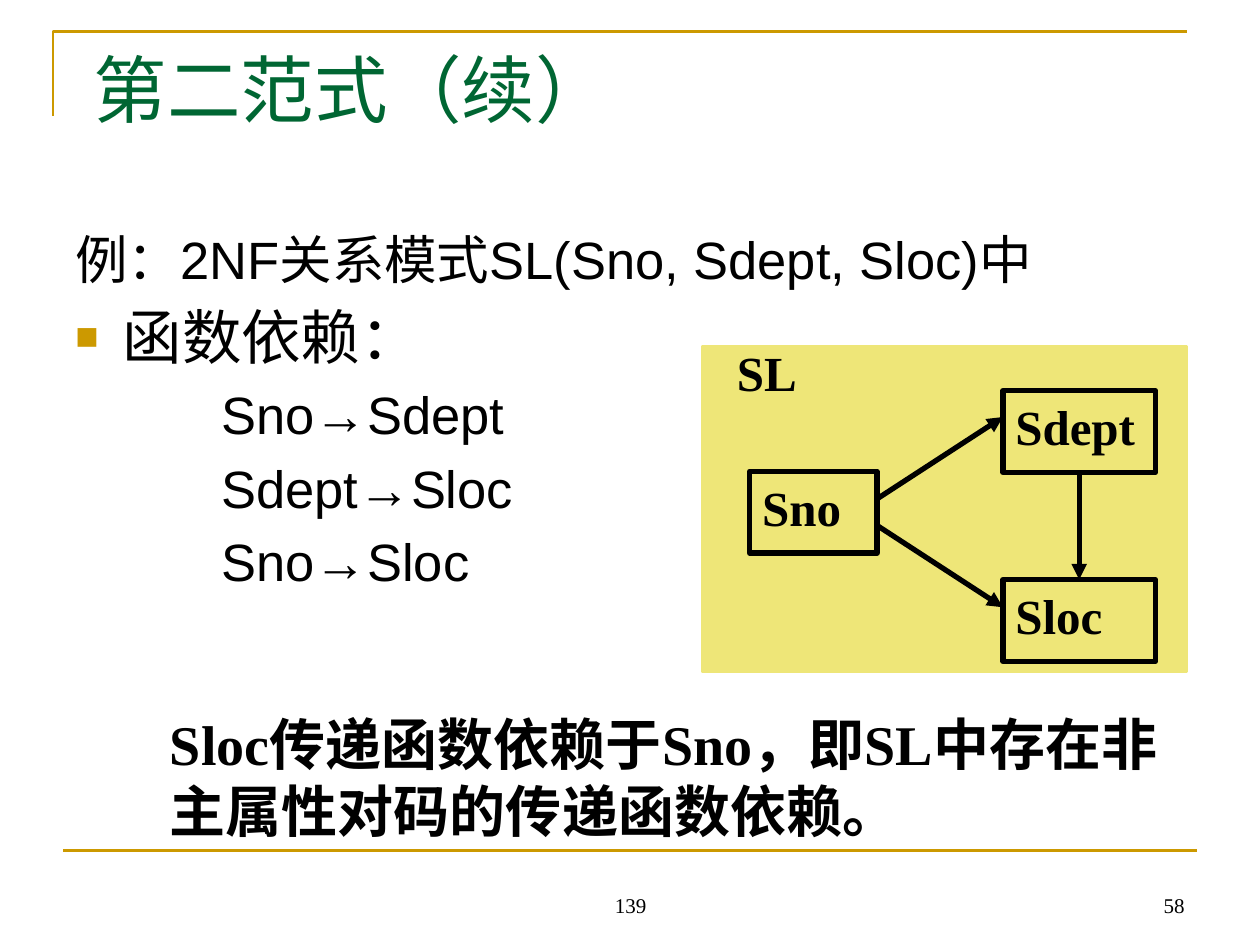
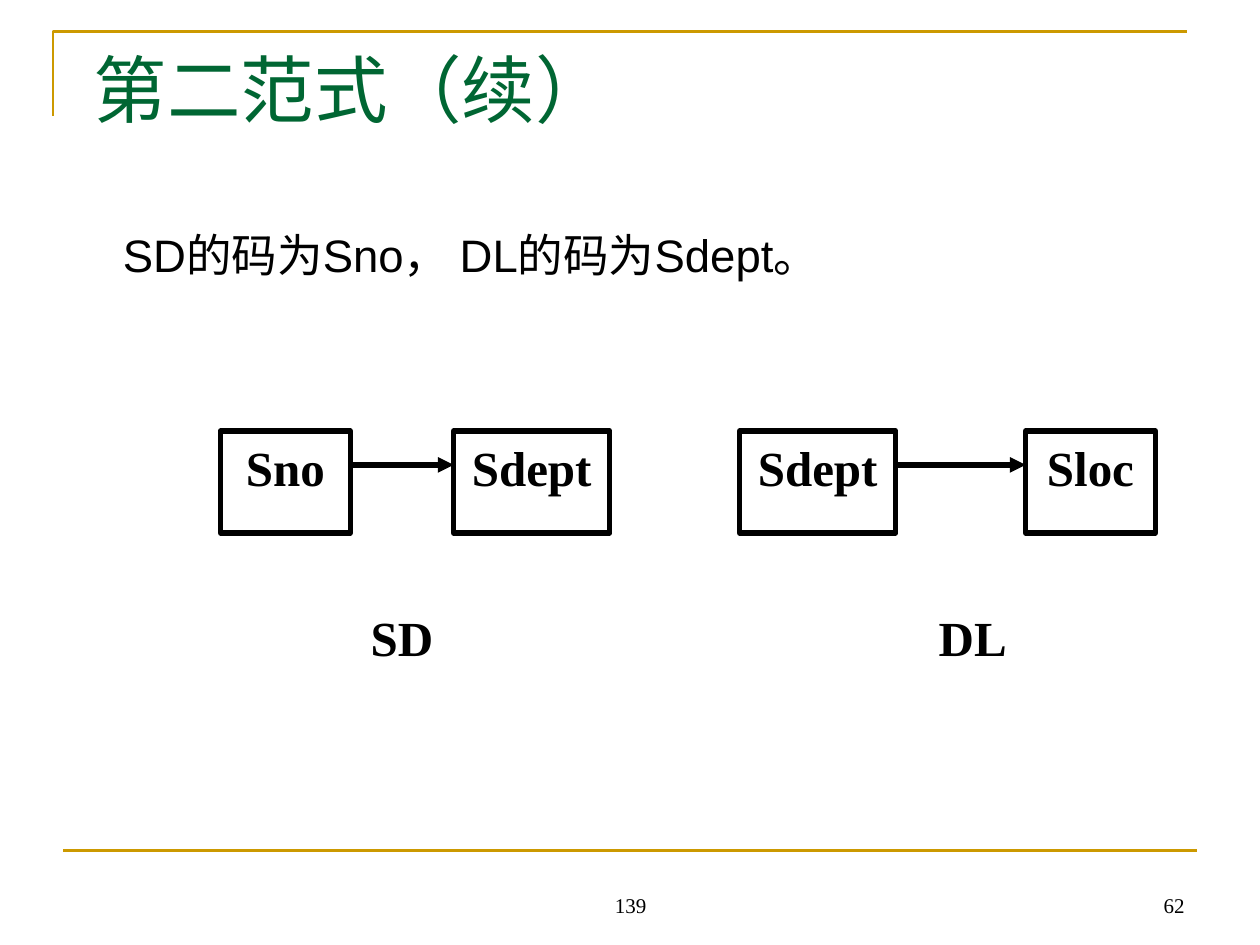
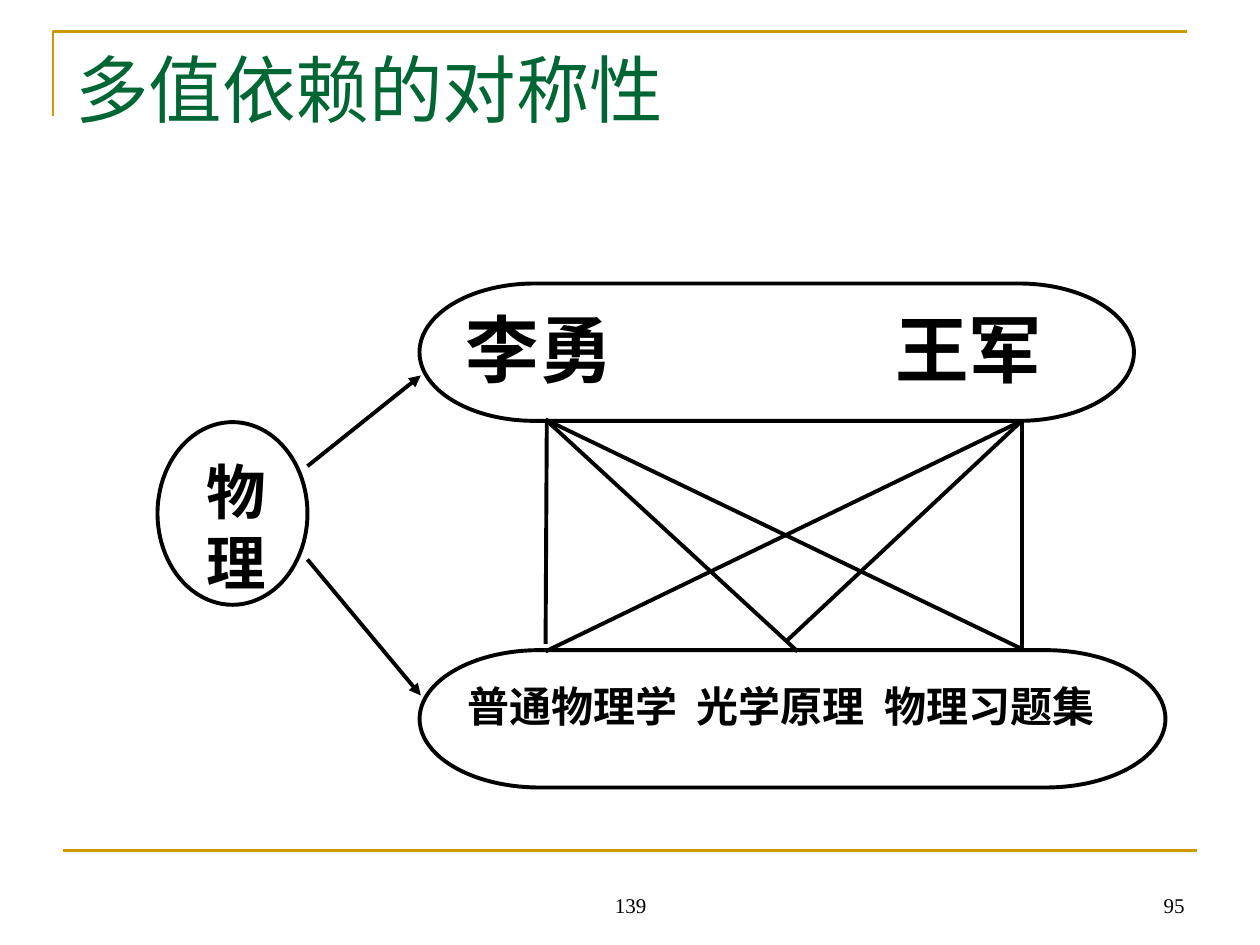
"""Build three slides on normal forms and multivalued dependencies."""
import pptx
import pptx.util
import pptx.dml.color
import pptx.enum.shapes
import pptx.enum.text
import pptx.oxml.ns
from lxml import etree

COLORS = {"gold": "CC9900", "green": "006633", "black": "000000",
          "white": "FFFFFF", "yellow": "EEE678"}
SERIF, SANS = "Times New Roman", "Arial"
Pt, Inches = pptx.util.Pt, pptx.util.Inches
RGB = pptx.dml.color.RGBColor.from_string
ALIGN, ANCHOR = pptx.enum.text.PP_ALIGN, pptx.enum.text.MSO_ANCHOR
SHAPE = pptx.enum.shapes.MSO_SHAPE
STRAIGHT = pptx.enum.shapes.MSO_CONNECTOR.STRAIGHT
qn = pptx.oxml.ns.qn

deck = pptx.Presentation()
deck.slide_width, deck.slide_height = Inches(10), Inches(7.5)
COL, ROW = deck.slide_width / 100, deck.slide_height / 75


def block(slide, box, text="", size=28, font=SERIF, bold=True, color="black", align=ALIGN.LEFT,
          anchor=ANCHOR.TOP, preset=None, fill=None, line="black", width=3, left=1, top=0.5):
    """Add text at a grid box, inside a preset shape if one is given."""
    place = [round(n * unit) for n, unit in zip(box, (COL, ROW, COL, ROW))]
    if preset is None:
        shape = slide.shapes.add_textbox(*place)
    else:
        shape = slide.shapes.add_shape(preset, *place)
        shape.shadow.inherit = False
        shape.line.color.rgb = RGB(COLORS[line])
        shape.line.width = Pt(width)
        if fill:
            shape.fill.solid()
            shape.fill.fore_color.rgb = RGB(COLORS[fill])
        else:
            shape.fill.background()
    frame = shape.text_frame
    frame.word_wrap = True
    frame.vertical_anchor = anchor
    frame.margin_left, frame.margin_top = round(left * COL), round(top * ROW)
    frame.text = text
    for paragraph in frame.paragraphs:
        paragraph.alignment = align
        for run in paragraph.runs:
            run.font.name, run.font.size, run.font.bold = font, Pt(size), bold
            run.font.color.rgb = RGB(COLORS[color])
    return shape


def link(slide, start, end, width=3, color="black", arrow=True):
    """Add a straight line between two grid points."""
    connector = slide.shapes.add_connector(
        STRAIGHT, *[round(n * unit) for n, unit in zip(start + end, (COL, ROW, COL, ROW))])
    connector.line.width = Pt(width)
    connector.line.color.rgb = RGB(COLORS[color])
    if arrow:
        etree.SubElement(connector.line._get_or_add_ln(), qn("a:tailEnd"), type="triangle")
    etree.SubElement(connector._element.spPr, qn("a:effectLst"))
    return connector


pages = []
for title, number, title_left in [("第二范式（续）", "58", 2.46), ("第二范式（续）", "62", 2.46),
                                  ("多值依赖的对称性", "95", 1)]:
    page = deck.slides.add_slide(deck.slide_layouts[6])
    pages.append(page)
    outline = page.shapes.build_freeform(round(4.2 * COL), round(9.2 * ROW))
    outline.add_line_segments([(round(x * COL), round(y * ROW)) for x, y in [(4.2, 2.5), (94.2, 2.5)]],
                              close=False)
    corner = outline.convert_to_shape()
    corner.shadow.inherit = False
    corner.fill.background()
    corner.line.color.rgb = RGB(COLORS["gold"])
    corner.line.width = Pt(1.5)
    link(page, (5, 67.5), (95, 67.5), 1.5, "gold", arrow=False)
    block(page, (5, 3, 90, 12.5), title, 42, bold=False, color="green", left=title_left)
    block(page, (71.7, 68.3, 23.3, 5), number, 12, bold=False, align=ALIGN.RIGHT, anchor=ANCHOR.BOTTOM)
    block(page, (34.2, 68.3, 31.7, 5), "139", 12, bold=False, align=ALIGN.CENTER, anchor=ANCHOR.BOTTOM)
transitive, decomposed, symmetric = pages

example = block(transitive, (5, 17.5, 90, 50.7),
                "例：2NF关系模式SL(Sno, Sdept, Sloc)中\n函数依赖：\nSno→Sdept\nSdept→Sloc\nSno→Sloc",
                30, SANS, False).text_frame.paragraphs
for paragraph in example[1:]:
    paragraph.space_before = Pt(6)
for dependency in example[2:]:
    dependency._p.get_or_add_pPr().set("marL", str(round(11.6 * COL)))
heading = example[1]
heading.runs[0].font.size = Pt(34)
bullet = heading._p.get_or_add_pPr()
bullet.set("marL", str(round(3.75 * COL)))
bullet.set("indent", str(round(-3.75 * COL)))
etree.SubElement(etree.SubElement(bullet, qn("a:buClr")), qn("a:srgbClr"), val=COLORS["gold"])
etree.SubElement(bullet, qn("a:buSzPct"), val="65000")
etree.SubElement(bullet, qn("a:buFont"), typeface=SANS)
etree.SubElement(bullet, qn("a:buChar"), char="■")

block(transitive, (55.8, 27.5, 38.3, 25.8), preset=SHAPE.RECTANGLE, fill="yellow", line="yellow", width=2.25)
block(transitive, (57.5, 26.7, 12.1, 6.5), "SL")
attributes = {}
for name, x, y, w in [("Sno", 59.5, 37.4, 10.1), ("Sdept", 79.6, 31, 12.1), ("Sloc", 79.6, 46, 12.1)]:
    attributes[name] = block(transitive, (x, y, w, 6.5), name, preset=SHAPE.RECTANGLE)
link(transitive, (69.6, 39.6), (79.6, 33.1))
link(transitive, (69.6, 41.7), (79.6, 48.2))
department_location = link(transitive, (85.7, 37.5), (85.7, 46))
department_location.begin_connect(attributes["Sdept"], 2)
department_location.end_connect(attributes["Sloc"], 0)
block(transitive, (12.5, 55.8, 82.5, 11.7), "Sloc传递函数依赖于Sno，即SL中存在非主属性对码的传递函数依赖。", 32)

block(decomposed, (5, 17.5, 90, 49.5), "SD的码为Sno， DL的码为Sdept。", 26, SANS, False, left=4.75)
for relation, label_x, key, key_x, key_w, value, value_x, value_w in [
        ("SD", 27.8, "Sno", 17.5, 10.3, "Sdept", 36, 12.4),
        ("DL", 73.1, "Sdept", 58.7, 12.4, "Sloc", 81.4, 10.3)]:
    for name, x, w in [(key, key_x, key_w), (value, value_x, value_w)]:
        block(decomposed, (x, 34.2, w, 8.1), name, align=ALIGN.CENTER, preset=SHAPE.RECTANGLE)
    link(decomposed, (key_x + key_w, 36.9), (value_x, 36.9))
    block(decomposed, (label_x, 47.7, 8.2, 8.1), relation, align=ALIGN.CENTER)

block(symmetric, (12.5, 33.5, 11.9, 14.5), "物\n理", 34, preset=SHAPE.OVAL, fill="white", width=2.25, left=2.18)
for names, size, box, top, stops in [
        ("普通物理学\t光学原理\t物理习题集", 24, (33.3, 51.6, 59.2, 10.9), 0.8, (18.2, 33.1)),
        ("李勇\t王军", 42, (33.3, 22.5, 56.7, 10.9), 0, (34.1,))]:
    members = block(symmetric, box, names, size, preset=SHAPE.FLOWCHART_TERMINATOR,
                    fill="white", width=2.25, top=top)
    tabs = etree.SubElement(members.text_frame.paragraphs[0]._p.get_or_add_pPr(), qn("a:tabLst"))
    for stop in stops:
        etree.SubElement(tabs, qn("a:tab"), pos=str(round(stop * COL)), algn="l")
for end, start_y in [((33.4, 29.8), 37), ((33.4, 55.2), 44.4)]:
    link(symmetric, (24.4, start_y), end, 2.25)
for teacher, book in [((43.4, 33.3), (43.3, 51.1)), ((43.3, 33.3), (63.3, 51.7)),
                      ((43.3, 33.3), (81.1, 51.5)), ((81.1, 33.4), (81.1, 51.5)),
                      ((81.1, 33.4), (62.5, 50.8)), ((81.1, 33.4), (43.3, 51.7))]:
    link(symmetric, teacher, book, 2.25, arrow=False)

deck.save("out.pptx")
